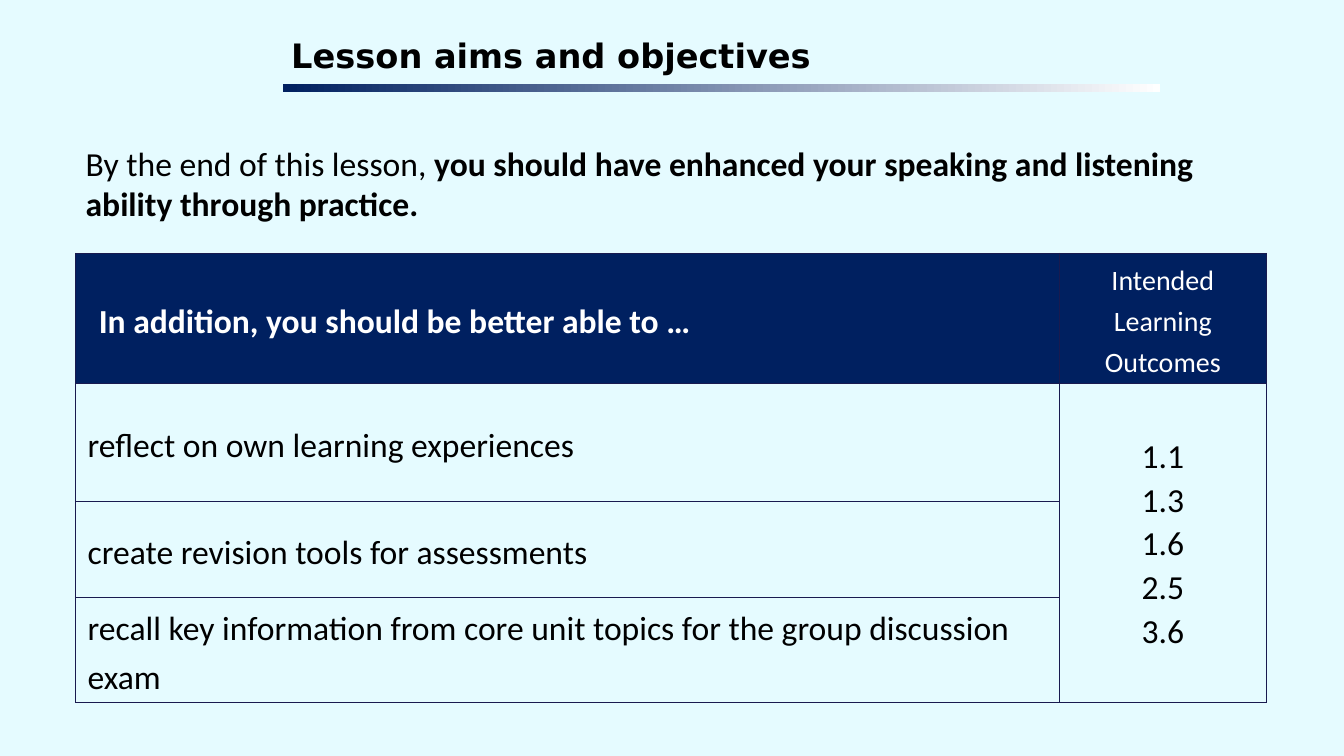
"""Build the lesson aims and objectives slide."""
import dataclasses

import lxml.etree
import pptx
import pptx.dml.color
import pptx.enum.shapes
import pptx.enum.text
import pptx.oxml.ns
import pptx.presentation
import pptx.slide
import pptx.table
import pptx.text.text
import pptx.util

Cm = pptx.util.Cm
LEFT = pptx.enum.text.PP_ALIGN.LEFT
MID = pptx.enum.text.PP_ALIGN.CENTER
NAVY, EDGE, WHITE, BLACK = "002060", "191A4F", "FFFFFF", "000000"
PAGE = "E5FBFF"
INSET = 0.1
EDGES = ("lnL", "lnR", "lnT", "lnB")
COLS = (24.79, 5.21)
ROWS = (2.92, 2.97, 2.41, 2.41)


@dataclasses.dataclass
class Entry:
    row: int
    col: int
    lines: tuple[str, ...]
    size: float = 24
    color: str = BLACK
    bold: bool = False
    align: pptx.enum.text.PP_ALIGN = LEFT
    indent: float = 0
    pitch: float = 1.19
    after: float = 6
    fill: str = ""


ENTRIES = (
    Entry(0, 0, ("In addition, you should be better able to …",),
          color=WHITE, bold=True, indent=0.48, fill=NAVY),
    Entry(0, 1, ("Intended Learning Outcomes",), size=20, color=WHITE,
          align=MID, fill=NAVY),
    Entry(1, 0, ("reflect on own learning experiences",), indent=0.2),
    Entry(2, 0, ("create revision tools for assessments",), indent=0.2),
    Entry(3, 0, ("recall key information from core unit topics for the "
                 "group discussion exam",), indent=0.2),
    Entry(1, 1, ("1.1", "1.3", "1.6", "2.5", "3.6"), align=MID,
          pitch=1.07, after=0),
)


def tint(code: str) -> pptx.dml.color.RGBColor:
    return pptx.dml.color.RGBColor.from_string(code)


def write(para: pptx.text.text._Paragraph, text: str, *, size: float = 24,
          font: str = "Calibri", color: str = BLACK, bold: bool = False) -> None:
    run = para.add_run()
    run.text = text
    run.font.size = pptx.util.Pt(size)
    run.font.name = font
    run.font.bold = bold
    run.font.color.rgb = tint(color)


def pad(box: pptx.text.text.TextFrame | pptx.table._Cell) -> None:
    box.margin_left = box.margin_right = Cm(INSET)
    box.margin_top = box.margin_bottom = Cm(INSET)


def border(cell: pptx.table._Cell) -> None:
    props = cell._tc.get_or_add_tcPr()
    for spot, edge in enumerate(EDGES):
        line = lxml.etree.Element(pptx.oxml.ns.qn(f"a:{edge}"),
                                  w=str(pptx.util.Pt(0.5)))
        solid = lxml.etree.SubElement(line, pptx.oxml.ns.qn("a:solidFill"))
        lxml.etree.SubElement(solid, pptx.oxml.ns.qn("a:srgbClr"), val=EDGE)
        props.insert(spot, line)


def enter(cell: pptx.table._Cell, entry: Entry) -> None:
    frame = cell.text_frame
    for index, text in enumerate(entry.lines):
        para = frame.add_paragraph() if index else frame.paragraphs[0]
        para.alignment = entry.align
        para.line_spacing = entry.pitch
        para.space_after = pptx.util.Pt(entry.after)
        para._p.get_or_add_pPr().set("marL", str(Cm(entry.indent)))
        write(para, text, size=entry.size, color=entry.color, bold=entry.bold)
    if entry.fill:
        cell.fill.solid()
        cell.fill.fore_color.rgb = tint(entry.fill)


def head(slide: pptx.slide.Slide) -> None:
    group = slide.shapes.add_group_shape()
    title = group.shapes.add_textbox(Cm(7.24), Cm(0.79), Cm(22), Cm(1.35))
    frame = title.text_frame
    frame.word_wrap = True
    pad(frame)
    write(frame.paragraphs[0], "Lesson aims and objectives",
          font="DejaVu Sans", bold=True)
    bar = group.shapes.add_shape(pptx.enum.shapes.MSO_SHAPE.RECTANGLE,
                                 Cm(7.14), Cm(2.13), Cm(22.1), Cm(0.2))
    bar.shadow.inherit = False
    bar.line.fill.background()
    bar.fill.gradient()
    bar.fill.gradient_angle = 180
    for stop, code in zip(bar.fill.gradient_stops, (WHITE, NAVY)):
        stop.color.rgb = tint(code)


def intro(slide: pptx.slide.Slide) -> None:
    box = slide.shapes.add_textbox(Cm(1.91), Cm(3.48), Cm(30), Cm(2.31))
    frame = box.text_frame
    frame.word_wrap = True
    frame.auto_size = pptx.enum.text.MSO_AUTO_SIZE.SHAPE_TO_FIT_TEXT
    para = frame.paragraphs[0]
    write(para, "By the end of this lesson, ")
    write(para, "you should have enhanced your speaking and listening "
                "ability through practice.", bold=True)


def goals(slide: pptx.slide.Slide) -> None:
    grid = slide.shapes.add_table(len(ROWS), len(COLS), Cm(1.91), Cm(6.38),
                                  Cm(sum(COLS)), Cm(sum(ROWS))).table
    grid.first_row = grid.horz_banding = False
    for col, width in zip(grid.columns, COLS):
        col.width = Cm(width)
    for row, height in zip(grid.rows, ROWS):
        row.height = Cm(height)
    for cell in grid.iter_cells():
        pad(cell)
        cell.vertical_anchor = pptx.enum.text.MSO_ANCHOR.MIDDLE
        cell.fill.background()
        border(cell)
    grid.cell(1, 1).merge(grid.cell(3, 1))
    for entry in ENTRIES:
        enter(grid.cell(entry.row, entry.col), entry)


def main() -> None:
    deck = pptx.Presentation()
    deck.slide_width, deck.slide_height = Cm(33.87), Cm(19.05)
    slide = deck.slides.add_slide(deck.slide_layouts[6])
    slide.background.fill.solid()
    slide.background.fill.fore_color.rgb = tint(PAGE)
    goals(slide)
    head(slide)
    intro(slide)
    deck.save("out.pptx")


if __name__ == "__main__":
    main()
